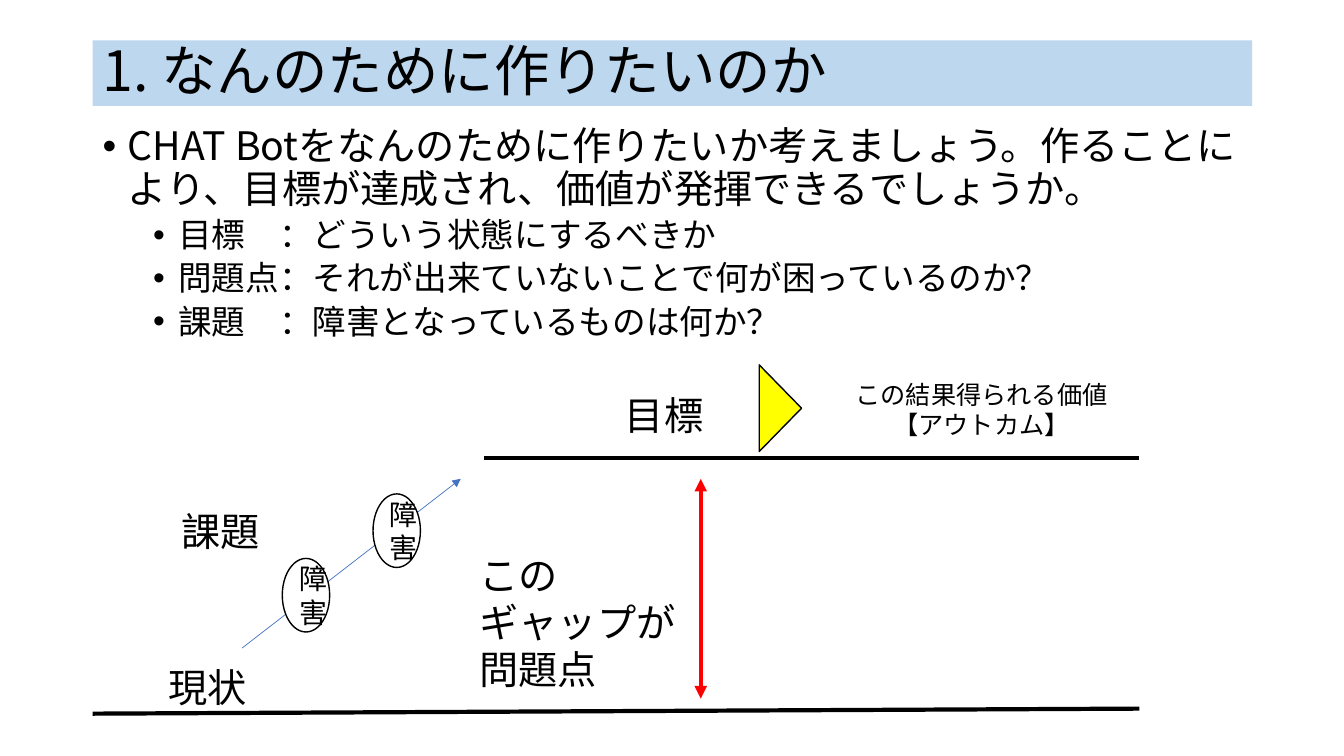
from pptx import Presentation
from pptx.dml.color import RGBColor
from pptx.enum.shapes import MSO_CONNECTOR, MSO_SHAPE
from pptx.enum.text import MSO_ANCHOR, PP_ALIGN
from pptx.oxml.ns import qn
from pptx.util import Inches, Pt
from lxml import etree

LEFT, CENTER = PP_ALIGN.LEFT, PP_ALIGN.CENTER
TOP, MIDDLE = MSO_ANCHOR.TOP, MSO_ANCHOR.MIDDLE
STRAIGHT = MSO_CONNECTOR.STRAIGHT
RECTANGLE, OVAL = MSO_SHAPE.RECTANGLE, MSO_SHAPE.OVAL
TRIANGLE = MSO_SHAPE.ISOSCELES_TRIANGLE

FONT = "Noto Sans CJK JP"
COLORS = {
    "text": "000000",
    "band": "BDD7EE",
    "gap": "FF0000",
    "path": "4472C4",
    "obstacle": "FFFFFF",
    "value": "FFFF00",
}

TITLE = "1. なんのために作りたいのか"
BODY = [
    (0, "CHAT Botをなんのために作りたいか考えましょう。"
        "作ることにより、目標が達成され、価値が発揮できるでしょうか。"),
    (1, "目標　：どういう状態にするべきか"),
    (1, "問題点：それが出来ていないことで何が困っているのか？"),
    (1, "課題　：障害となっているものは何か？"),
]
# level: text size, space before, left margin in inches
LEVELS = {0: (28, 10, 0.25), 1: (24, 5, 0.75)}
HANGING = 0.25


def color(name):
    return RGBColor.from_string(COLORS[name])


def write(para, text, size, align=LEFT):
    para.text = text
    para.alignment = align
    font = para.font
    font.size = Pt(size)
    font.name = FONT
    font.color.rgb = color("text")
    # East Asian text takes its typeface from a separate element
    latin = font._element.find(qn("a:latin"))
    east_asian = etree.Element(qn("a:ea"), typeface=FONT)
    latin.addnext(east_asian)


def add_label(page, box, text, size=28, align=LEFT, wrap=True):
    label = page.shapes.add_textbox(*map(Inches, box))
    label.text_frame.word_wrap = wrap
    write(label.text_frame.paragraphs[0], text, size, align)


def add_figure(page, kind, box, fill, outline=True):
    figure = page.shapes.add_shape(kind, *map(Inches, box))
    figure.shadow.inherit = False
    figure.fill.solid()
    figure.fill.fore_color.rgb = color(fill)
    if outline:
        figure.line.color.rgb = color("text")
        figure.line.width = Pt(1)
    else:
        figure.line.fill.background()
    return figure


def add_line(page, start, end, line_color, width, arrows=()):
    """Draw a straight line; arrows lists headEnd and/or tailEnd, in that order."""
    line = page.shapes.add_connector(STRAIGHT, *map(Inches, (*start, *end)))
    line.line.color.rgb = color(line_color)
    line.line.width = Pt(width)
    properties = line._element.spPr
    for arrow in arrows:
        etree.SubElement(properties.find(qn("a:ln")), qn(f"a:{arrow}"), type="triangle")
    etree.SubElement(properties, qn("a:effectLst"))


def add_title(page, box):
    band = add_figure(page, RECTANGLE, box, "band", outline=False)
    band.text_frame.word_wrap = True
    band.text_frame.vertical_anchor = MIDDLE
    para = band.text_frame.paragraphs[0]
    write(para, TITLE, 39.6)
    para.line_spacing = 0.9


def add_body(page, box):
    frame = page.shapes.add_textbox(*map(Inches, box)).text_frame
    frame.word_wrap = True
    frame.vertical_anchor = TOP
    for index, (level, text) in enumerate(BODY):
        para = frame.add_paragraph() if index else frame.paragraphs[0]
        size, space, margin = LEVELS[level]
        write(para, text, size)
        para.level = level
        para.line_spacing = 0.9
        para.space_before = Pt(space)
        properties = para._p.get_or_add_pPr()
        properties.set("marL", str(Inches(margin)))
        properties.set("indent", str(Inches(-HANGING)))
        bullet_font = etree.Element(qn("a:buFont"), typeface="Arial")
        bullet = etree.Element(qn("a:buChar"), char="•")
        properties.find(qn("a:defRPr")).addprevious(bullet_font)
        bullet_font.addnext(bullet)


def add_levels(page, box):
    """Present state below, goal above and the gap between them."""
    left, top, width, height = box
    right, bottom = left + width, top + height
    goal_y = top + 0.94
    add_line(page, (left, bottom), (right, bottom - 0.05), "text", 3)
    add_line(page, (left + 3.88, goal_y), (right, goal_y), "text", 3)
    add_label(page, (left + 5.18, goal_y - 0.71, 1.25, 0.57), "目標")
    add_label(page, (left + 0.65, bottom - 0.55, 1.48, 0.57), "現状")
    gap_x = left + 6.03
    add_line(page, (gap_x, goal_y + 0.21), (gap_x, bottom - 0.15), "gap", 3,
             ("headEnd", "tailEnd"))
    add_label(page, (left + 3.74, bottom - 1.66, 2.66, 1.51),
              "この\nギャップが\n問題点")


def add_obstacle_path(page, box):
    """Arrow rising across the box, blocked by two obstacles."""
    left, top, width, height = box
    add_line(page, (left, top + height), (left + width, top), "path", 0.5, ("tailEnd",))
    for step in range(2):
        oval_box = (left + 0.4 + 0.9 * step, top + 0.79 - 0.64 * step, 0.47, 0.73)
        oval = add_figure(page, OVAL, oval_box, "obstacle")
        oval.text_frame.word_wrap = True
        oval.text_frame.vertical_anchor = MIDDLE
        write(oval.text_frame.paragraphs[0], "障害", 20, CENTER)
    add_label(page, (left - 0.7, top + 0.23, 1.18, 0.57), "課題")


def add_outcome(page, box):
    left, top, width, height = box
    pointer = add_figure(page, TRIANGLE, (left, top + 0.13, 0.86, 0.42), "value")
    pointer.rotation = 90
    add_label(page, (left + 1.06, top, width - 1.06, height),
              "この結果得られる価値\n【アウトカム】", 18, CENTER, wrap=False)


def main():
    deck = Presentation()
    deck.slide_width, deck.slide_height = Inches(13.33), Inches(7.5)
    page = deck.slides.add_slide(deck.slide_layouts[6])
    add_title(page, (0.92, 0.4, 11.5, 0.65))
    add_body(page, (0.92, 1.21, 11.5, 5.55))
    add_levels(page, (0.92, 3.6, 10.38, 3.48))
    add_obstacle_path(page, (2.4, 4.75, 2.17, 1.68))
    add_outcome(page, (7.31, 3.71, 3.79, 0.71))
    deck.save("out.pptx")


if __name__ == "__main__":
    main()
